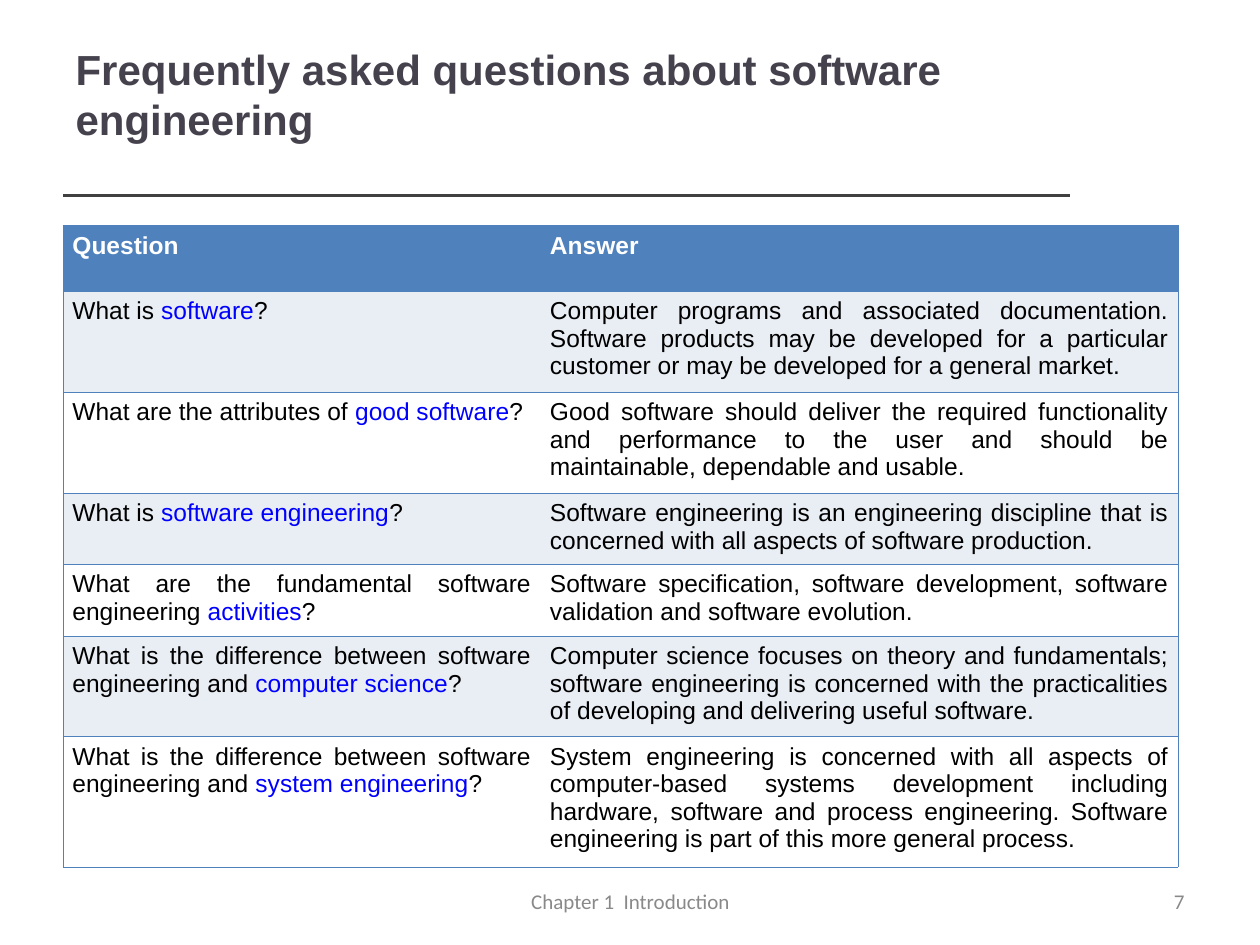
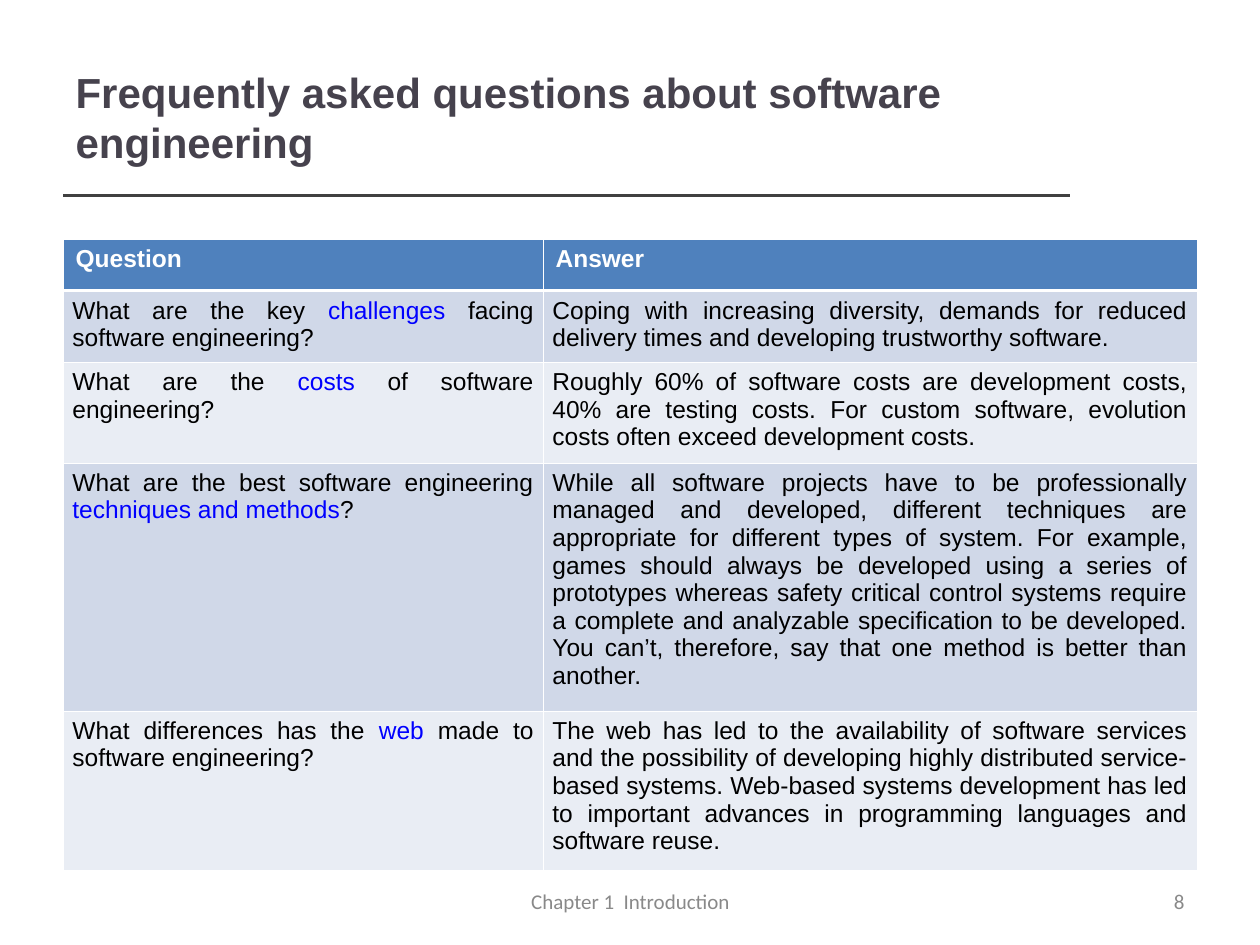
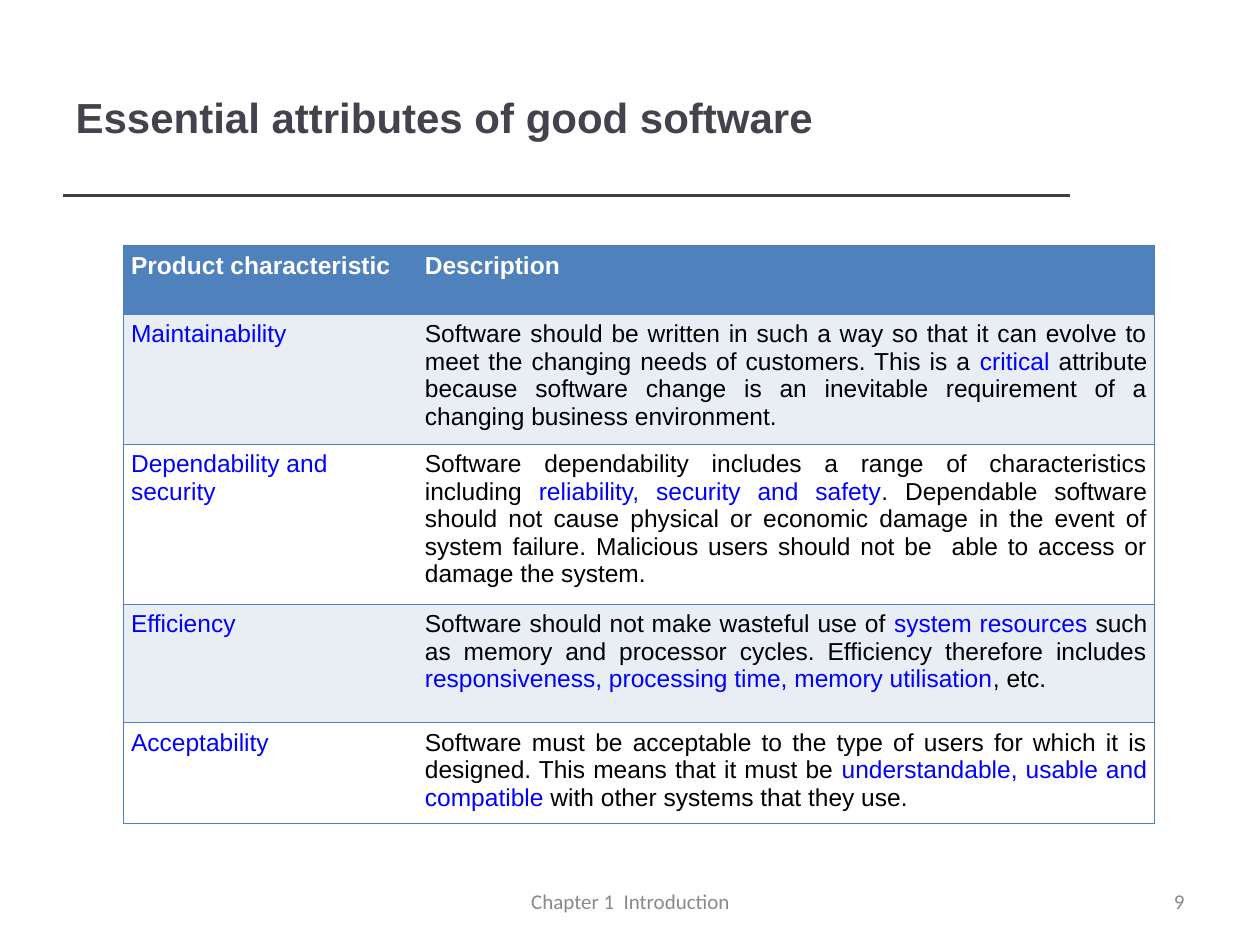
"""Build three slides of software engineering tables; text between asterisks is highlighted."""
import lxml.etree
import pptx
import pptx.dml.color
import pptx.enum.shapes
import pptx.enum.text
import pptx.oxml.ns
import pptx.util

Pt = pptx.util.Pt
ALIGN = pptx.enum.text.PP_ALIGN
MIDDLE = pptx.enum.text.MSO_ANCHOR.MIDDLE
qn = pptx.oxml.ns.qn

BLUE, WHITE, BLACK = "4F81BD", "FFFFFF", "000000"
PALE, MID = "E9EDF4", "D0D8E8"
HIGHLIGHT, TITLE, RULE, FOOTER = "0000FF", "46424D", "404040", "898989"
NO_STYLE = "{2D5ABB26-0587-4C30-8999-92F81FD0307C}"
FAQ = "Frequently asked questions about software engineering"


def rgb(value):
    return pptx.dml.color.RGBColor.from_string(value)


def border(cell, side, value, width):
    ln = lxml.etree.SubElement(cell._tc.get_or_add_tcPr(), qn("a:ln" + side), w=str(Pt(width)))
    fill = lxml.etree.SubElement(ln, qn("a:solidFill"))
    lxml.etree.SubElement(fill, qn("a:srgbClr"), val=value)


slides = [
    {
        "title": FAQ, "title_box": (36, 21.6, 605.5, 92.9), "title_bottom": 32.5,
        "at": (36, 128.9), "cols": (272.9, 364.3),
        "heights": (37.5, 55.7, 56, 38.9, 38.9, 55.7, 72.8),
        "inset": 5.4, "header_inset": 5.4, "first_align": ALIGN.JUSTIFY,
        "bands": (PALE, WHITE), "grid": False,
        "rows": [
            ("Question", "Answer"),
            ("What is *software*?",
             "Computer programs and associated documentation. Software products may be developed "
             "for a particular customer or may be developed for a general market."),
            ("What are the attributes of *good software*?",
             "Good software should deliver the required functionality and performance to the user "
             "and should be maintainable, dependable and usable."),
            ("What is *software engineering*?",
             "Software engineering is an engineering discipline that is concerned with all aspects "
             "of software production."),
            ("What are the fundamental software engineering *activities*?",
             "Software specification, software development, software validation and software "
             "evolution."),
            ("What is the difference between software engineering and *computer science*?",
             "Computer science focuses on theory and fundamentals; software engineering is "
             "concerned with the practicalities of developing and delivering useful software."),
            ("What is the difference between software engineering and *system engineering*?",
             "System engineering is concerned with all aspects of computer-based systems "
             "development including hardware, software and process engineering. Software "
             "engineering is part of this more general process."),
        ],
    },
    {
        "title": FAQ, "title_box": (36, 21.6, 574.6, 90), "title_bottom": 3.6,
        "at": (36, 136.8), "cols": (274.3, 373.7),
        "heights": (29.2, 38.9, 55.8, 139.7, 89.3),
        "inset": 5.4, "header_inset": 7.2, "first_align": ALIGN.JUSTIFY,
        "bands": (MID, PALE), "grid": True,
        "rows": [
            ("Question", "Answer"),
            ("What are the key *challenges* facing software engineering?",
             "Coping with increasing diversity, demands for reduced delivery times and developing "
             "trustworthy software."),
            ("What are the *costs* of software engineering?",
             "Roughly 60% of software costs are development costs, 40% are testing costs. For "
             "custom software, evolution costs often exceed development costs."),
            ("What are the best software engineering *techniques and methods*?",
             "While all software projects have to be professionally managed and developed, "
             "different techniques are appropriate for different types of system. For example, "
             "games should always be developed using a series of prototypes whereas safety "
             "critical control systems require a complete and analyzable specification to be "
             "developed. You can’t, therefore, say that one method is better than another."),
            ("What differences has the *web* made to software engineering?",
             "The web has led to the availability of software services and the possibility of "
             "developing highly distributed service-based systems. Web-based systems development "
             "has led to important advances in programming languages and software reuse."),
        ],
    },
    {
        "title": "Essential attributes of good software",
        "title_box": (36, 21.6, 574.6, 90), "title_bottom": 3.6,
        "at": (70.6, 140.4), "cols": (167.9, 421.4),
        "heights": (39, 74.2, 91.4, 67.7, 57.6),
        "inset": 4.3, "header_inset": 4.3, "first_align": ALIGN.LEFT,
        "bands": (PALE, WHITE), "grid": False,
        "rows": [
            ("Product characteristic", "Description"),
            ("*Maintainability*",
             "Software should be written in such a way so that it can evolve to meet the changing "
             "needs of customers. This is a *critical* attribute because software change is an "
             "inevitable requirement of a changing business environment."),
            ("*Dependability and security*",
             "Software dependability includes a range of characteristics including *reliability, "
             "security and safety*. Dependable software should not cause physical or economic "
             "damage in the event of system failure. Malicious users should not be  able to "
             "access or damage the system."),
            ("*Efficiency*",
             "Software should not make wasteful use of *system resources *such as memory and "
             "processor cycles. Efficiency therefore includes *responsiveness, processing time, "
             "memory utilisation*, etc."),
            ("*Acceptability*",
             "Software must be acceptable to the type of users for which it is designed. This "
             "means that it must be *understandable, usable and compatible* with other systems "
             "that they use."),
        ],
    },
]

prs = pptx.Presentation()
prs.slide_width, prs.slide_height = Pt(720), Pt(540)

for number, data in enumerate(slides, 7):
    s = prs.slides.add_slide(prs.slide_layouts[5])

    rule = s.shapes.add_connector(
        pptx.enum.shapes.MSO_CONNECTOR.STRAIGHT, Pt(36), Pt(111.6), Pt(611.3), Pt(111.6))
    rule.line.color.rgb = rgb(RULE)
    rule.line.width = Pt(2)
    lxml.etree.SubElement(rule._element.spPr, qn("a:effectLst"))

    title = s.shapes.title
    title.left, title.top, title.width, title.height = [Pt(v) for v in data["title_box"]]
    tf = title.text_frame
    tf.text = data["title"]
    tf.auto_size = pptx.enum.text.MSO_AUTO_SIZE.NONE
    tf.vertical_anchor = MIDDLE
    tf.margin_bottom = Pt(data["title_bottom"])
    p = tf.paragraphs[0]
    p.alignment = ALIGN.LEFT
    p.font.name, p.font.size, p.font.bold = "Arial", Pt(24), True
    p.font.color.rgb = rgb(TITLE)

    for text, left, width, align in (("Chapter 1  Introduction", 246.2, 228.2, ALIGN.CENTER),
                                     (str(number), 516.2, 167.8, ALIGN.RIGHT)):
        tf = s.shapes.add_textbox(Pt(left), Pt(500.4), Pt(width), Pt(28.8)).text_frame
        tf.word_wrap = True
        tf.vertical_anchor = MIDDLE
        p = tf.paragraphs[0]
        p.text, p.alignment = text, align
        p.font.name, p.font.size = "Calibri", Pt(12)
        p.font.color.rgb = rgb(FOOTER)

    rows, cols, heights = data["rows"], data["cols"], data["heights"]
    left, top = data["at"]
    table = s.shapes.add_table(len(rows), len(cols), Pt(left), Pt(top),
                               Pt(sum(cols)), Pt(sum(heights))).table
    table._tbl.tblPr.find(qn("a:tableStyleId")).text = NO_STYLE
    for column, width in zip(table.columns, cols):
        column.width = Pt(width)
    for i, texts in enumerate(rows):
        table.rows[i].height = Pt(heights[i])
        header = i == 0
        for j, text in enumerate(texts):
            cell = table.cell(i, j)
            for side in "LRTB":
                if data["grid"]:
                    thick = (i, side) in ((0, "B"), (1, "T"))
                    border(cell, side, WHITE, 1.47 if thick else 0.45)
                elif side != "RL"[j]:
                    border(cell, side, BLUE, 0.45)
            cell.fill.solid()
            cell.fill.fore_color.rgb = rgb(BLUE if header else data["bands"][(i - 1) % 2])
            inset = data["header_inset"] if header else data["inset"]
            cell.margin_left = cell.margin_right = Pt(inset)
            cell.margin_top = cell.margin_bottom = Pt(3.6)
            p = cell.text_frame.paragraphs[0]
            p.alignment = data["first_align"] if j == 0 else ALIGN.JUSTIFY
            p.font.name, p.font.size, p.font.bold = "Arial", Pt(14), header
            for k, part in enumerate(text.split("*")):
                if part:
                    r = p.add_run()
                    r.text = part
                    r.font.color.rgb = rgb(WHITE if header else HIGHLIGHT if k % 2 else BLACK)

prs.save("out.pptx")
